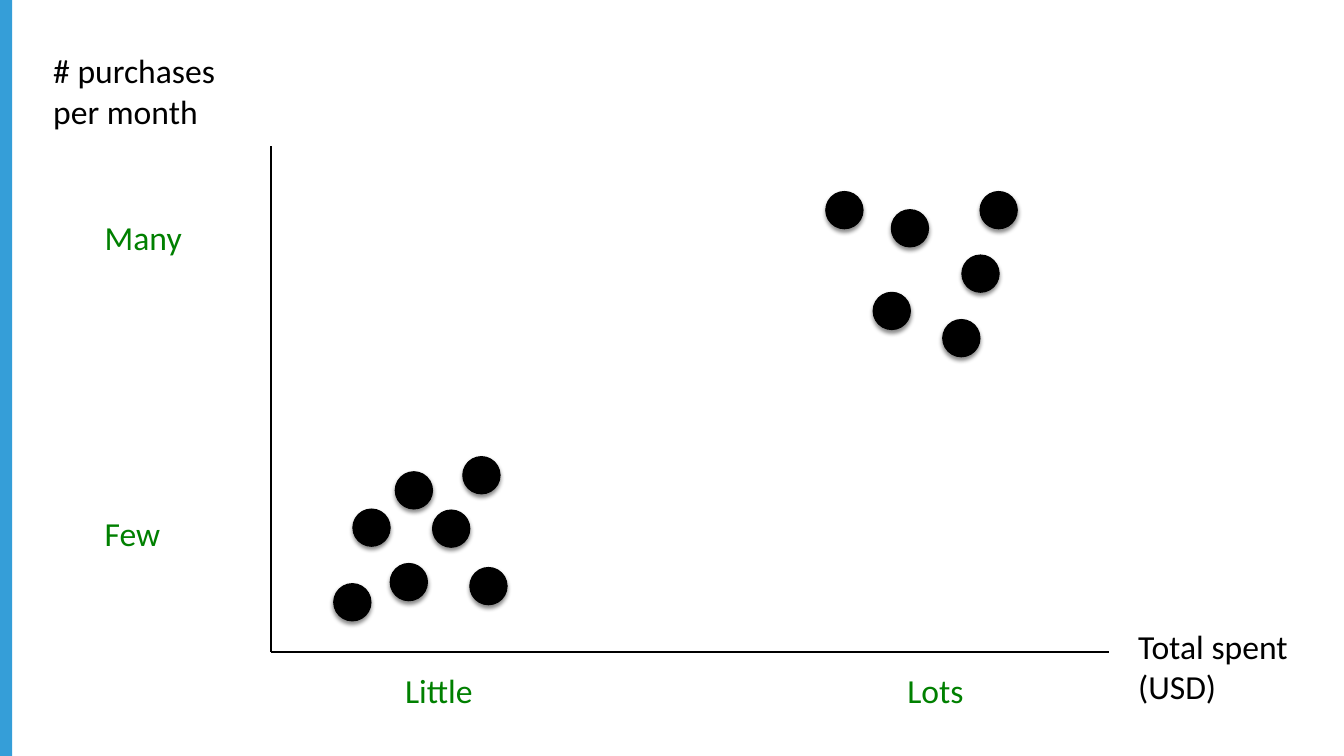
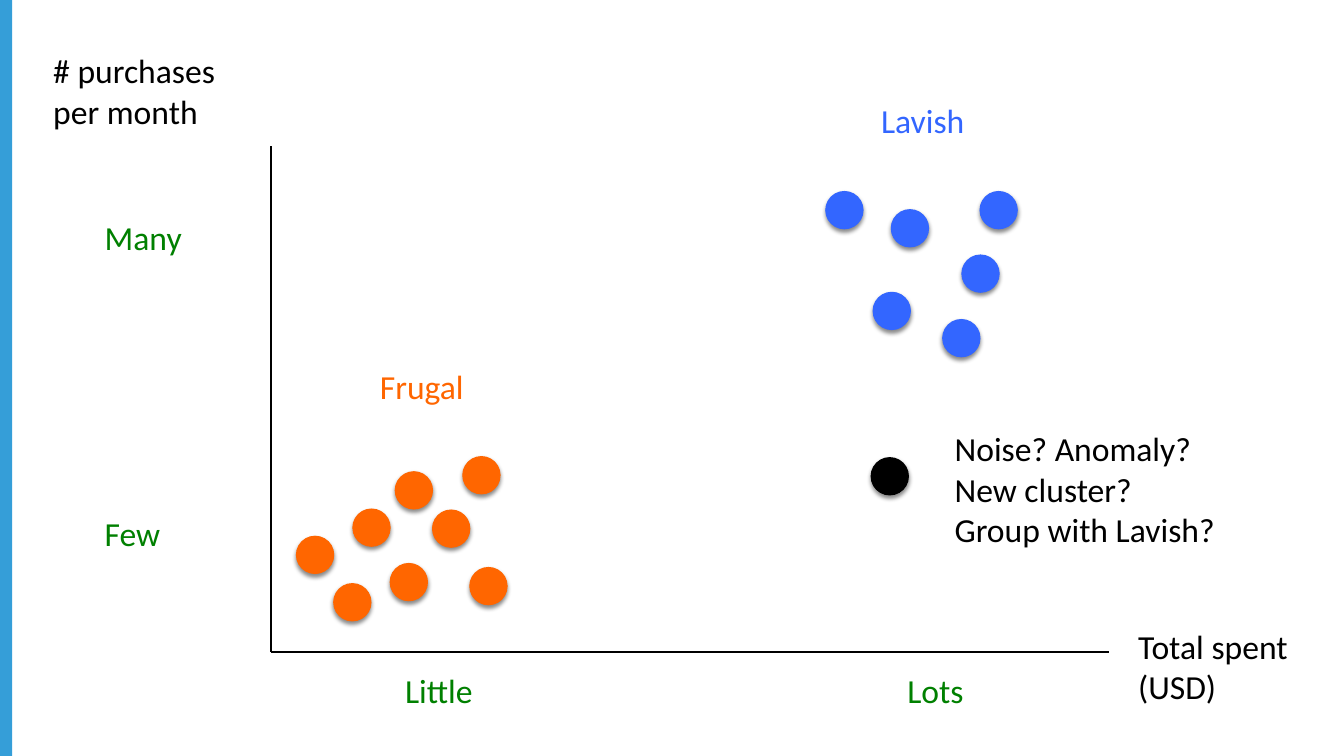
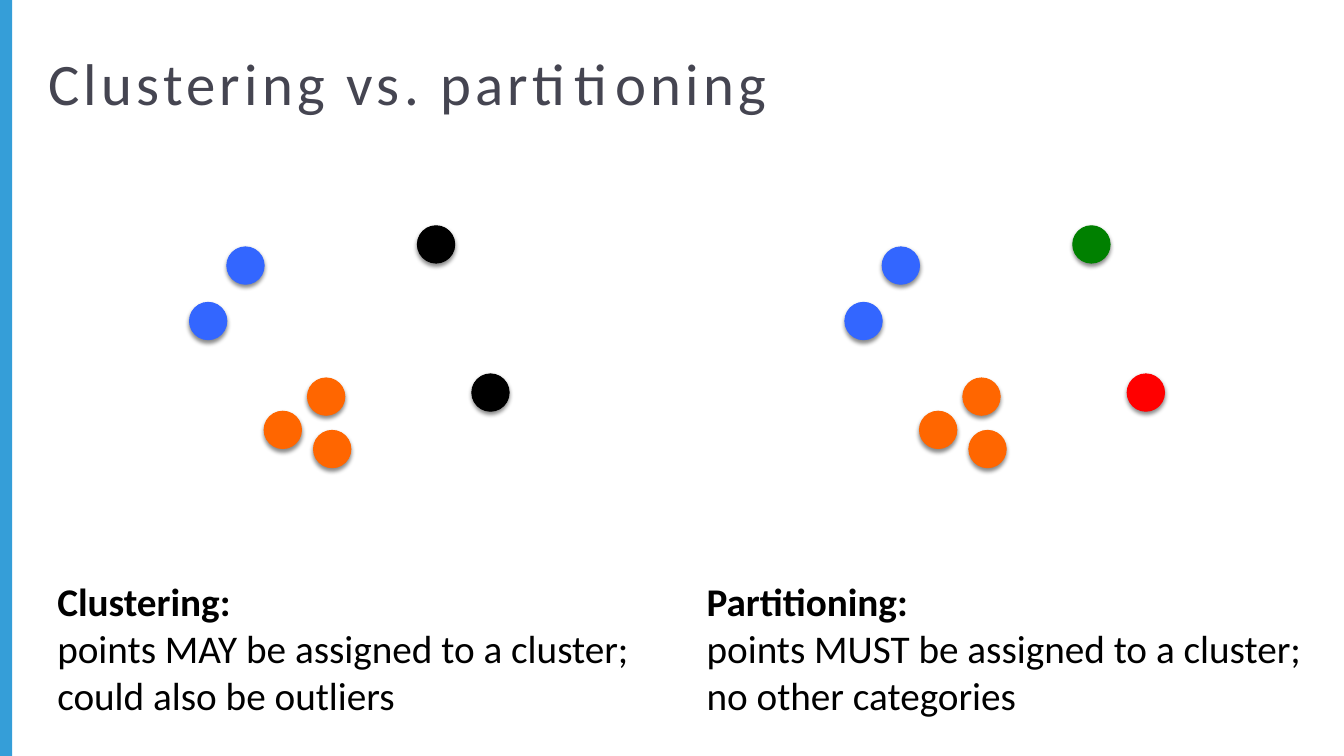
from lxml import etree
from pptx import Presentation
from pptx.dml.color import RGBColor
from pptx.enum.shapes import MSO_CONNECTOR, MSO_SHAPE
from pptx.enum.text import MSO_AUTO_SIZE
from pptx.oxml import parse_xml
from pptx.oxml.ns import qn
from pptx.util import Inches, Pt

RECTANGLE, OVAL = MSO_SHAPE.RECTANGLE, MSO_SHAPE.OVAL
STRAIGHT = MSO_CONNECTOR.STRAIGHT
GROW = MSO_AUTO_SIZE.SHAPE_TO_FIT_TEXT

# Shared look
WIDTH, HEIGHT = 13.33, 7.5
BAND_WIDTH = 0.12
DOT_SIZE = 0.37
FONT = "Calibri"
BAND, TITLE = "359ED8", "454551"
BLACK, GREEN, RED = "000000", "008000", "FF0000"
ORANGE, BLUE = "FF6600", "3366FF"
LABEL_SIZE, CAPTION_SIZE, TITLE_SIZE = 24, 28, 42
SHADOW = (
    '<a:effectLst xmlns:a="http://schemas.openxmlformats.org/drawingml/2006/main">'
    '<a:outerShdw blurRad="38100" dist="25400" dir="5400000" rotWithShape="0">'
    '<a:srgbClr val="000000"><a:alpha val="45000"/></a:srgbClr>'
    '</a:outerShdw></a:effectLst>'
)

# Scatter plot: axes, labels (lines, left, top, width, height, colour, wrap), points
ORIGIN, Y_AXIS_TOP, X_AXIS_END = (2.69, 6.47), 1.45, 11
AXIS_LABELS = [
    (["Total spent", "(USD)"], 11.19, 6.16, 1.7, 0.91, BLACK, False),
    (["# purchases per month"], 0.43, 0.45, 2.26, 0.91, BLACK, True),
    (["Few"], 0.94, 5.04, 0.89, 0.5, GREEN, True),
    (["Many"], 0.94, 2.1, 1.14, 0.5, GREEN, True),
    (["Little"], 3.92, 6.6, 1.64, 0.5, GREEN, True),
    (["Lots"], 8.9, 6.6, 0.89, 0.5, GREEN, True),
]
CLUSTER_LABELS = [
    (["Frugal"], 3.67, 3.58, 1.14, 0.5, ORANGE, True),
    (["Lavish"], 8.64, 0.94, 1.14, 0.5, BLUE, True),
    (["Noise? Anomaly?", "New cluster?", "Group with Lavish?"],
     9.37, 4.2, 3.24, 1.31, BLACK, True),
]
FRUGAL = [(3.5, 5.05), (3.31, 5.79), (3.87, 5.59), (4.66, 5.63),
          (4.29, 5.06), (3.92, 4.68), (4.59, 4.53)]
LAVISH = [(8.19, 1.9), (9.54, 2.53), (8.66, 2.9), (8.84, 2.08),
          (9.72, 1.9), (9.35, 3.17)]
NEW_FRUGAL, OUTLIER = (2.94, 5.32), (8.64, 4.54)

# Comparison: the same points twice, with different colours for the last two
PANEL_STEP = 6.5
PAIR = [(1.88, 3), (2.25, 2.45)]
TRIO = [(3.05, 3.75), (2.62, 4.08), (3.11, 4.27)]
LONERS = [(4.14, 2.24), (4.68, 3.71)]
PANELS = [
    {"loner_colors": (BLACK, BLACK), "left": 0.47, "width": 5.99,
     "caption": ["Clustering:", "points MAY be assigned to a cluster;",
                 "could also be outliers"]},
    {"loner_colors": (GREEN, RED), "left": 6.91, "width": 6.19,
     "caption": ["Partitioning:", "points MUST be assigned to a cluster;",
                 "no other categories"]},
]


def color(value):
    return RGBColor.from_string(value)


def inches(*lengths):
    return [Inches(length) for length in lengths]


def add_filled(slide, kind, left, top, width, height, fill):
    shape = slide.shapes.add_shape(kind, *inches(left, top, width, height))
    shape.shadow.inherit = False
    shape.fill.solid()
    shape.fill.fore_color.rgb = color(fill)
    shape.line.fill.background()
    return shape


def new_slide(presentation):
    slide = presentation.slides.add_slide(presentation.slide_layouts[6])
    add_filled(slide, RECTANGLE, 0, 0, BAND_WIDTH, HEIGHT, BAND)
    return slide


def add_dots(slide, points, fill, shift=0):
    for left, top in points:
        dot = add_filled(slide, OVAL, left + shift, top, DOT_SIZE, DOT_SIZE, fill)
        dot.line.color.rgb = color(fill)
        dot.line.width = Pt(0.75)
        properties = dot._element.spPr
        properties.replace(properties.find(qn("a:effectLst")), parse_xml(SHADOW))


def add_text(slide, lines, left, top, width, height, text_color, wrap=True,
             size=LABEL_SIZE):
    box = slide.shapes.add_textbox(*inches(left, top, width, height))
    frame = box.text_frame
    frame.word_wrap = wrap
    frame.auto_size = GROW
    frame.text = "\n".join(lines)
    for paragraph in frame.paragraphs:
        paragraph.font.name = FONT
        paragraph.font.size = Pt(size)
        paragraph.font.color.rgb = color(text_color)
    return frame


def add_title(slide, text):
    frame = add_text(slide, [text], 0.43, 0.37, 11.74, 1.08, TITLE, size=TITLE_SIZE)
    frame.auto_size = MSO_AUTO_SIZE.NONE
    frame.margin_left, frame.margin_top = inches(0.05, 0.09)
    frame.paragraphs[0].runs[0]._r.get_or_add_rPr().set("spc", "300")


def add_axis(slide, start, end):
    axis = slide.shapes.add_connector(STRAIGHT, *inches(*start, *end))
    axis.line.color.rgb = color(BLACK)
    axis.line.width = Pt(1.5)
    etree.SubElement(axis._element.spPr, qn("a:effectLst"))


def add_scatter(presentation, frugal_color, lavish_color):
    slide = new_slide(presentation)
    add_axis(slide, (ORIGIN[0], Y_AXIS_TOP), ORIGIN)
    add_axis(slide, ORIGIN, (X_AXIS_END, ORIGIN[1]))
    add_dots(slide, FRUGAL, frugal_color)
    add_dots(slide, LAVISH, lavish_color)
    for label in AXIS_LABELS:
        add_text(slide, *label)
    return slide


def add_comparison(presentation):
    slide = new_slide(presentation)
    add_title(slide, "Clustering vs. partitioning")
    for index, panel in enumerate(PANELS):
        shift = index * PANEL_STEP
        add_dots(slide, PAIR, BLUE, shift)
        add_dots(slide, TRIO, ORANGE, shift)
        for point, fill in zip(LONERS, panel["loner_colors"]):
            add_dots(slide, [point], fill, shift)
        frame = add_text(slide, panel["caption"], panel["left"], 5.68,
                         panel["width"], 1.51, BLACK, False, CAPTION_SIZE)
        frame.paragraphs[0].font.bold = True


def main():
    presentation = Presentation()
    presentation.slide_width, presentation.slide_height = inches(WIDTH, HEIGHT)

    # Unlabelled points
    add_scatter(presentation, BLACK, BLACK)

    # Clusters found, plus two newcomers
    clusters = add_scatter(presentation, ORANGE, BLUE)
    for label in CLUSTER_LABELS:
        add_text(clusters, *label)
    add_dots(clusters, [OUTLIER], BLACK)
    add_dots(clusters, [NEW_FRUGAL], ORANGE)

    add_comparison(presentation)
    presentation.save("out.pptx")


if __name__ == "__main__":
    main()
